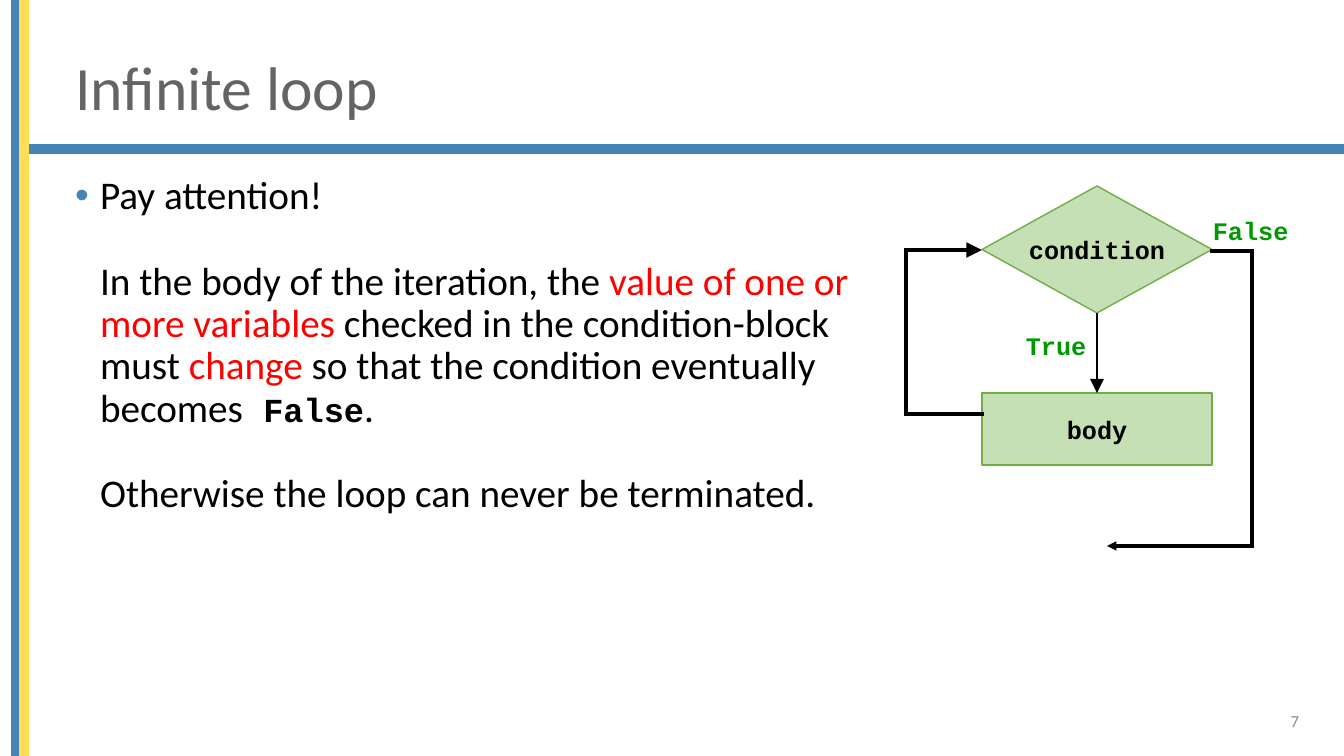
"""Build the slide on infinite loops with its flow chart."""
from itertools import pairwise
from lxml.etree import SubElement
from pptx import Presentation
from pptx.dml.color import RGBColor
from pptx.enum.shapes import MSO_CONNECTOR, MSO_SHAPE
from pptx.enum.text import MSO_ANCHOR, MSO_AUTO_SIZE, PP_ALIGN
from pptx.oxml.ns import qn
from pptx.util import Pt

PX = 9071
BLUE, GOLD, LEAF, EDGE = "4584B6", "FFDE57", "C5E0B4", "70AD47"
BLACK, RED, GREEN = "000000", "FF0000", "009900"
MONO = "Courier New"


def hue(code):
    return RGBColor.from_string(code)


def put(para, text, size=28, face="Calibri", color=BLACK, bold=False, align=PP_ALIGN.LEFT):
    para.alignment = align
    run = para.add_run()
    run.text = text
    run.font.size, run.font.name, run.font.bold = Pt(size), face, bold
    run.font.color.rgb = hue(color)


deck = Presentation()
deck.slide_width, deck.slide_height = 1344 * PX, 756 * PX
slide = deck.slides.add_slide(deck.slide_layouts[1])
shapes = slide.shapes

bars = [(19, 145, 1325, 8, BLUE), (12, 0, 8, 756, BLUE), (20, 0, 8, 756, GOLD)]
for x, y, w, h, color in bars:
    bar = shapes.add_shape(MSO_SHAPE.RECTANGLE, x * PX, y * PX, w * PX, h * PX)
    bar.shadow.inherit = False
    bar.fill.solid()
    bar.fill.fore_color.rgb = bar.line.color.rgb = hue(color)
    bar.line.width = Pt(1)

title, body = slide.placeholders
spots = [(title, 40, 1187, 102, MSO_ANCHOR.MIDDLE), (body, 171, 802, 510, MSO_ANCHOR.TOP)]
for holder, y, w, h, anchor in spots:
    holder.left, holder.top, holder.width, holder.height = 65 * PX, y * PX, w * PX, h * PX
    frame = holder.text_frame
    frame.word_wrap, frame.auto_size = True, MSO_AUTO_SIZE.NONE
    frame.vertical_anchor = anchor
    frame.paragraphs[0].line_spacing = 0.9
put(title.text_frame.paragraphs[0], "Infinite loop", size=44, color="646464")

points = [
    [("Pay attention!", {})],
    [
        ("In the body of the iteration, the ", {}),
        ("value of one or more variables ", {"color": RED}),
        ("checked in the condition-block must ", {}),
        ("change ", {"color": RED}),
        ("so that the condition eventually becomes", {}),
        (" False", {"size": 24, "face": MONO, "bold": True}),
        (".", {}),
    ],
    [("Otherwise the loop can never be terminated.", {})],
]
frame = body.text_frame
for num, runs in enumerate(points):
    para = frame.add_paragraph() if num else frame.paragraphs[0]
    para.line_spacing, para.space_before = 0.9, Pt(30.7 if num else 0)
    props = para._p.get_or_add_pPr()
    props.set("marL", str(25 * PX))
    props.set("indent", str(0 if num else -25 * PX))
    if num:
        SubElement(props, qn("a:buNone"))
    else:
        tint = SubElement(props, qn("a:buClr"))
        SubElement(tint, qn("a:srgbClr"), val=BLUE)
        SubElement(props, qn("a:buFont"), typeface="Arial")
        SubElement(props, qn("a:buChar"), char="•")
    for text, style in runs:
        put(para, text, **style)

nodes = [
    (MSO_SHAPE.FLOWCHART_DECISION, 186, 127, "condition"),
    (MSO_SHAPE.RECTANGLE, 393, 72, "body"),
]
for kind, y, h, text in nodes:
    node = shapes.add_shape(kind, 982 * PX, y * PX, 230 * PX, h * PX)
    node.shadow.inherit = False
    node.fill.solid()
    node.fill.fore_color.rgb = hue(LEAF)
    node.line.color.rgb = hue(EDGE)
    node.line.width = Pt(1)
    frame = node.text_frame
    frame.word_wrap, frame.vertical_anchor = False, MSO_ANCHOR.MIDDLE
    put(frame.paragraphs[0], text, size=18, face=MONO, bold=True, align=PP_ALIGN.CENTER)

code = {"size": 18, "face": MONO, "color": GREEN, "bold": True}
page = {"size": 12, "color": "8C8C8C", "align": PP_ALIGN.RIGHT}
labels = [
    (1016, 325, 82, "True", False, code),
    (1203, 210, 97, "False", False, code),
    (1007, 701, 302, "7", True, page),
]
for x, y, w, text, wrap, style in labels:
    label = shapes.add_textbox(x * PX, y * PX, w * PX, 40 * PX)
    frame = label.text_frame
    frame.word_wrap, frame.vertical_anchor = wrap, MSO_ANCHOR.MIDDLE
    put(frame.paragraphs[0], text, **style)

routes = [
    (2, "lg", [(1097, 313), (1097, 393)]),
    (2.25, "lg", [(982, 414), (906, 414), (906, 250), (982, 250)]),
    (2.25, "med", [(1212, 251), (1252, 251), (1252, 546), (1107, 546)]),
]
for width, head, stops in routes:
    for start, end in pairwise(stops):
        ends = [n * PX for n in start + end]
        link = shapes.add_connector(MSO_CONNECTOR.STRAIGHT, *ends)
        link.line.color.rgb = hue(BLACK)
        link.line.width = Pt(width)
        stroke = link.get_or_add_ln()
        stroke.set("cap", "sq")
        if end == stops[-1]:
            stroke.set("cap", "flat")
            SubElement(stroke, qn("a:tailEnd"), type="triangle", w=head, len=head)
        SubElement(link.element.spPr, qn("a:effectLst"))

deck.save("out.pptx")
